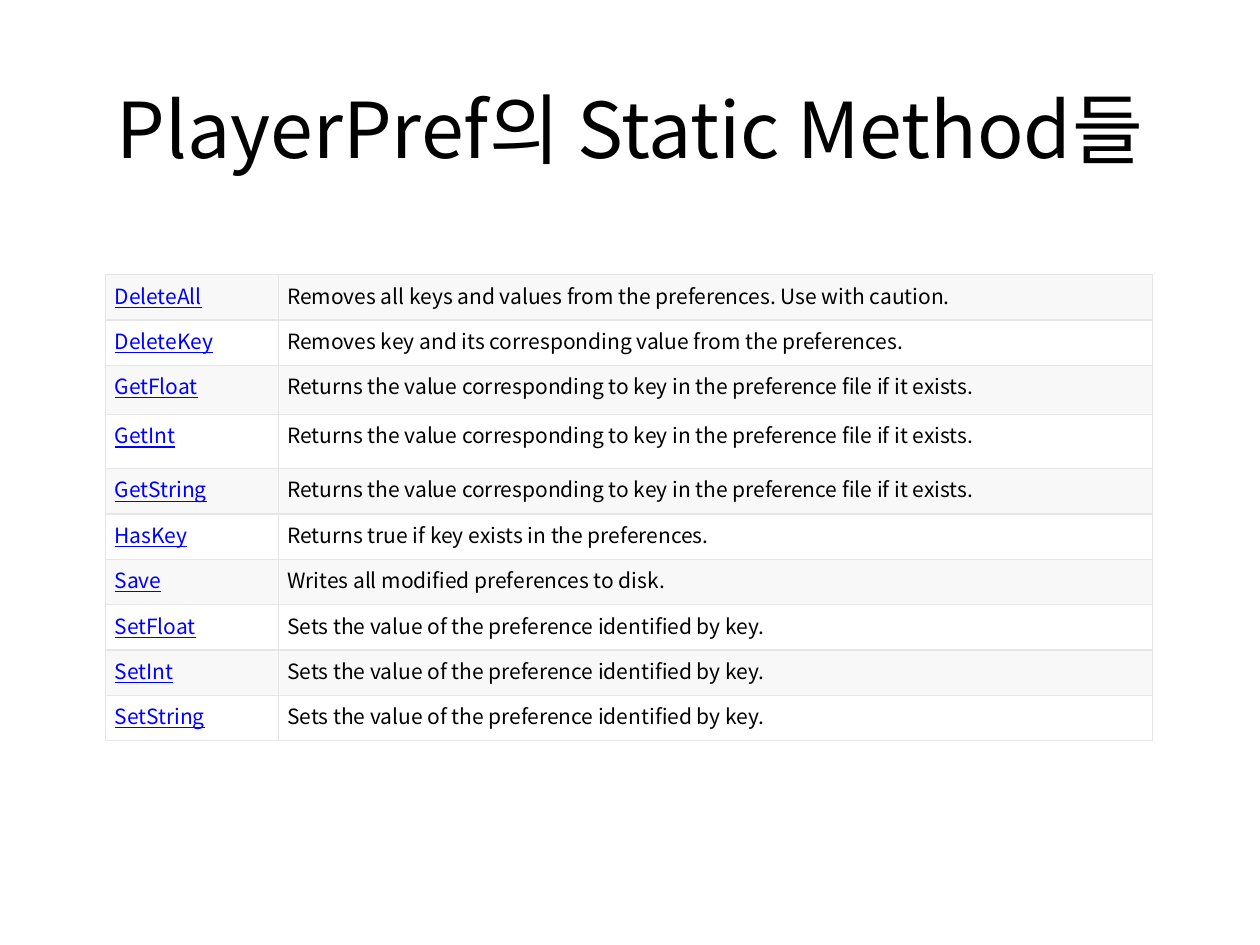
from dataclasses import dataclass

from lxml.etree import SubElement
from pptx import Presentation
from pptx.dml.color import RGBColor
from pptx.enum.text import MSO_ANCHOR, PP_ALIGN
from pptx.oxml.ns import qn
from pptx.util import Inches, Pt


@dataclass(frozen=True)
class Theme:
    font: str = "Noto Sans CJK KR"
    title_size: int = 44
    cell_size: int = 12
    text: str = "000000"
    link: str = "0000FF"
    band: str = "F8F8F8"
    border: str = "E6E6E6"
    border_width: float = 0.75


class SlideBuilder:
    def __init__(self, s, theme):
        self.s = s
        self.theme = theme

    def run(self, p, text, size, color, underline=False):
        r = p.add_run()
        r.text = text
        r.font.name = self.theme.font
        r.font.size = Pt(size)
        r.font.color.rgb = RGBColor.from_string(color)
        r.font.underline = underline
        # Hangul takes the East Asian typeface
        SubElement(r.font._element, qn("a:ea"), typeface=self.theme.font)

    def title(self, text, left, top, width, height):
        sp = self.s.shapes.add_textbox(
            Inches(left), Inches(top), Inches(width), Inches(height))
        tf = sp.text_frame
        tf.word_wrap = True
        tf.vertical_anchor = MSO_ANCHOR.MIDDLE
        p = tf.paragraphs[0]
        p.alignment = PP_ALIGN.CENTER
        self.run(p, text, self.theme.title_size, self.theme.text)

    def borders(self, cell):
        tc_pr = cell._tc.get_or_add_tcPr()
        for side in ("lnL", "lnR", "lnT", "lnB"):
            ln = SubElement(tc_pr, qn(f"a:{side}"),
                            w=str(Pt(self.theme.border_width)))
            fill = SubElement(ln, qn("a:solidFill"))
            SubElement(fill, qn("a:srgbClr"), val=self.theme.border)

    def cell(self, cell, text, banded, is_link):
        cell.margin_left = cell.margin_right = Inches(0.07)
        cell.margin_top = cell.margin_bottom = Inches(0.04)
        self.borders(cell)
        if banded:
            cell.fill.solid()
            cell.fill.fore_color.rgb = RGBColor.from_string(self.theme.band)
        else:
            cell.fill.background()
        color = self.theme.link if is_link else self.theme.text
        self.run(cell.text_frame.paragraphs[0], text,
                 self.theme.cell_size, color, is_link)

    def table(self, rows, left, top, col_widths, row_heights):
        table = self.s.shapes.add_table(
            len(rows), len(col_widths), Inches(left), Inches(top),
            Inches(sum(col_widths)), Inches(sum(row_heights))).table
        table.first_row = table.horz_banding = False
        for column, width in zip(table.columns, col_widths):
            column.width = Inches(width)
        for i, (values, height) in enumerate(zip(rows, row_heights)):
            table.rows[i].height = Inches(height)
            for j, text in enumerate(values):
                self.cell(table.cell(i, j), text,
                          banded=i % 2 == 0, is_link=j == 0)


GET_TEXT = ("Returns the value corresponding to key "
            "in the preference file if it exists.")
SET_TEXT = "Sets the value of the preference identified by key."
METHODS = [
    ("DeleteAll", "Removes all keys and values from the preferences. "
                  "Use with caution."),
    ("DeleteKey", "Removes key and its corresponding value "
                  "from the preferences."),
    ("GetFloat", GET_TEXT),
    ("GetInt", GET_TEXT),
    ("GetString", GET_TEXT),
    ("HasKey", "Returns true if key exists in the preferences."),
    ("Save", "Writes all modified preferences to disk."),
    ("SetFloat", SET_TEXT),
    ("SetInt", SET_TEXT),
    ("SetString", SET_TEXT),
]
TALL_ROWS = {"GetFloat": 0.39, "GetInt": 0.43}


def main():
    prs = Presentation()
    prs.slide_width, prs.slide_height = Inches(10), Inches(7.5)
    s = prs.slides.add_slide(prs.slide_layouts[6])
    builder = SlideBuilder(s, Theme())

    # Title
    builder.title("PlayerPref의 Static Method들", 0.5, 0.39, 9, 1.25)

    # Method table
    heights = [TALL_ROWS.get(name, 0.36) for name, _ in METHODS]
    builder.table(METHODS, 0.84, 2.18, (1.37, 6.94), heights)

    prs.save("out.pptx")


if __name__ == "__main__":
    main()
